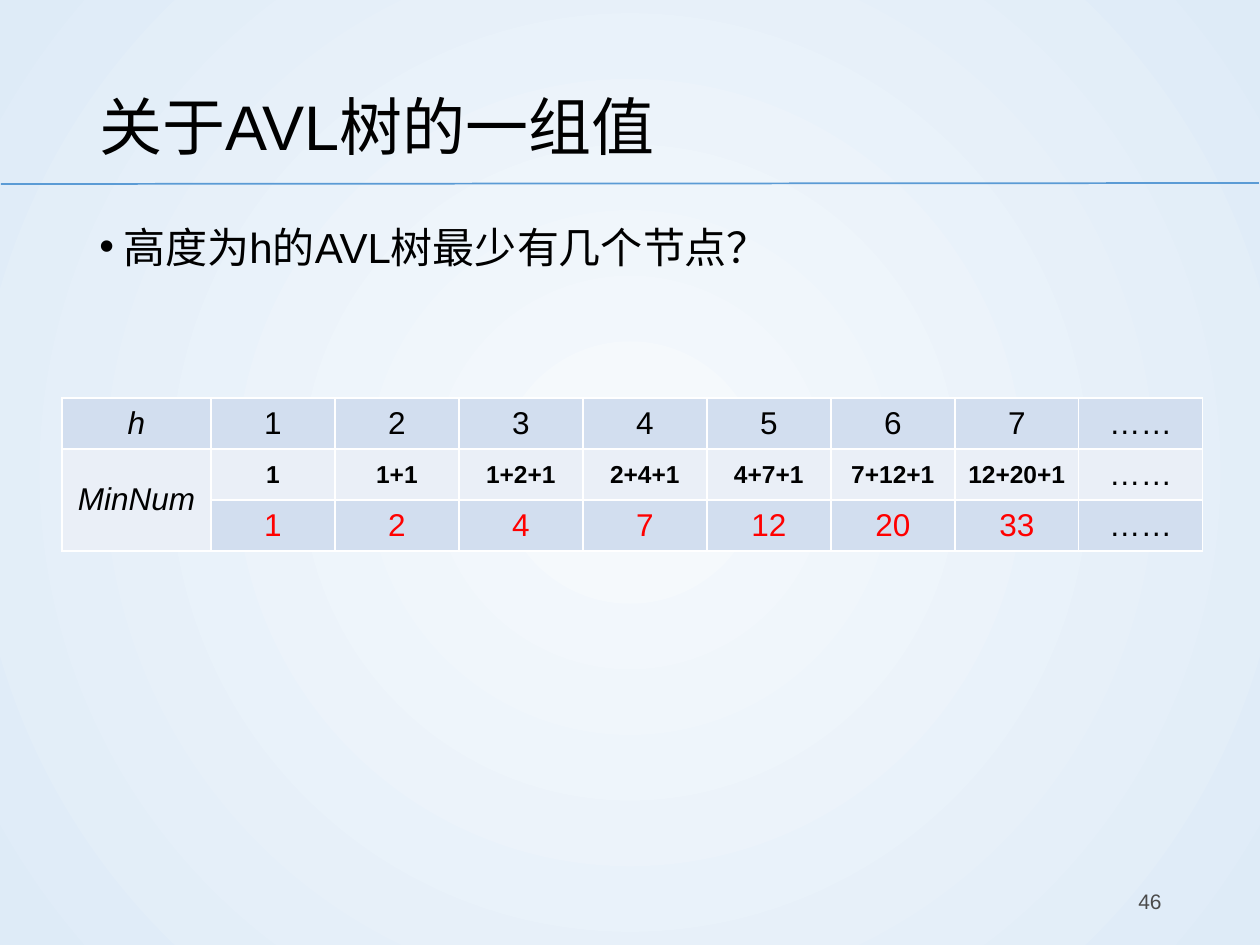
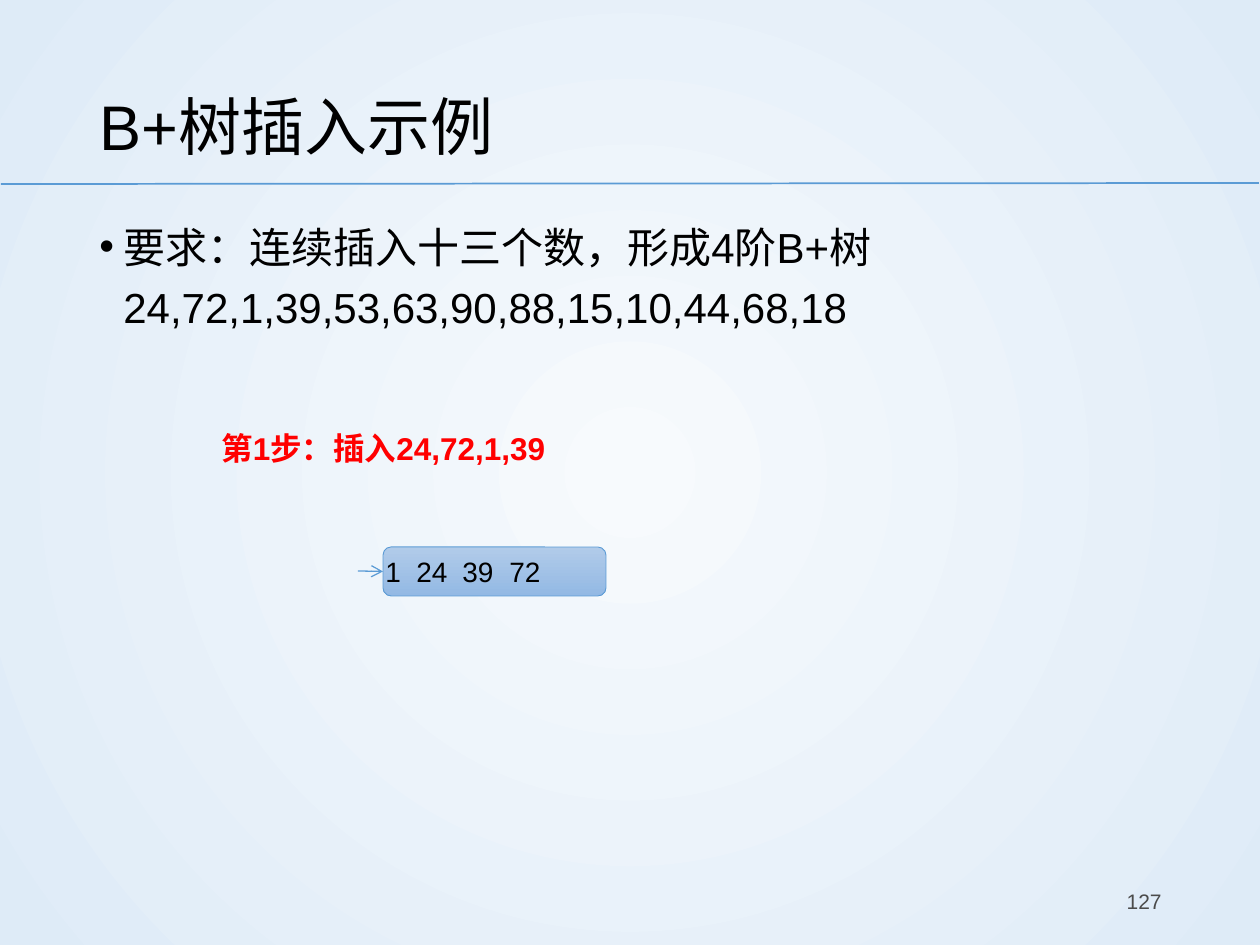
"""Build two lecture slides on AVL trees and B+ trees."""
from lxml.etree import SubElement
from pptx import Presentation
from pptx.dml.color import RGBColor
from pptx.enum.shapes import MSO_CONNECTOR, MSO_SHAPE
from pptx.enum.text import MSO_ANCHOR as ANCHOR, PP_ALIGN as ALIGN
from pptx.oxml import parse_xml
from pptx.oxml.ns import nsdecls, qn
from pptx.util import Emu, Pt

SCALE = 914400 / 126
FONT = "Arial"
COLORS = {
    "text": "000000", "number": "4B4B4B", "red": "FF0000", "line": "5B9BD5",
    "center": "F7FAFD", "edge": "DEEBF7", "node_top": "B1CBE9",
    "node_bottom": "93B9E4", "band": "D2DEEF", "light": "EAEFF7",
    "border": "FFFFFF",
}

SLIDE_SIZE = (1260, 945)
TITLE_BOX = (87, 50, 1086, 136)
BODY_BOX = (87, 205, 1086, 646)
NUMBER_BOX = (890, 876, 284, 50)
RULE = (1, 184, 1259, 183)
BULLET_INDENT = 24

AVL = {"title": "关于AVL树的一组值", "body": "高度为h的AVL树最少有几个节点？", "number": "46"}
BPLUS = {
    "title": "B+树插入示例",
    "body": "要求：连续插入十三个数，形成4阶B+树24,72,1,39,53,63,90,88,15,10,44,68,18",
    "number": "127",
}

MIN_NODES = [
    ["h", "1", "2", "3", "4", "5", "6", "7", "……"],
    ["MinNum", "1", "1+1", "1+2+1", "2+4+1", "4+7+1", "7+12+1", "12+20+1", "……"],
    ["", "1", "2", "4", "7", "12", "20", "33", "……"],
]
VALUE_STYLES = [{}, {"size": 14, "bold": True}, {"color": "red"}]
ROW_FILLS = ["band", "light", "band"]
TABLE_ORIGIN = (62, 398)
HEAD_WIDTH, VALUE_WIDTH, ROW_HEIGHT = 149, 124, 51

STEP = "第1步：插入24,72,1,39"
STEP_BOX = (209, 423, 470, 50)
KEYS = ["1", "24", "39", "72"]
KEY_TABS = [31, 77, 124]
NODE_BOX = (383, 547, 223, 49)
ARROW_START = (358, 571)


def px(length):
    return Emu(round(length * SCALE))


def place(values):
    return [px(value) for value in values]


def rgb(name):
    return RGBColor.from_string(COLORS[name])


def write(para, text, size=18, color="text", bold=False, italic=False):
    span = para.add_run()
    span.text = text
    font = span.font
    font.name, font.size = FONT, Pt(size)
    font.bold, font.italic = bold, italic
    font.color.rgb = rgb(color)


def add_text(page, area, text, anchor=ANCHOR.TOP, align=ALIGN.LEFT, spacing=None, **style):
    frame = page.shapes.add_textbox(*place(area)).text_frame
    frame.word_wrap = True
    frame.vertical_anchor = anchor
    para = frame.paragraphs[0]
    para.alignment = align
    if spacing:
        para.line_spacing = spacing
    write(para, text, **style)
    return para


def add_bullet(para):
    props = para._p.get_or_add_pPr()
    props.set("marL", str(px(BULLET_INDENT)))
    props.set("indent", str(-px(BULLET_INDENT)))
    SubElement(props, qn("a:buFont"), typeface=FONT)
    SubElement(props, qn("a:buChar"), char="•")


def set_gradient(fill, colors):
    fill.gradient()
    for stop, name in zip(fill.gradient_stops, colors):
        stop.color.rgb = rgb(name)


def add_line(page, ends, width):
    line = page.shapes.add_connector(MSO_CONNECTOR.STRAIGHT, *place(ends))
    line.line.color.rgb = rgb("line")
    line.line.width = Pt(width)
    SubElement(line._element.spPr, qn("a:effectLst"))
    return line


def add_page(deck, content):
    page = deck.slides.add_slide(deck.slide_layouts[6])
    set_gradient(page.background.fill, ("center", "edge"))
    linear = next(page.element.iter(qn("a:lin")))
    linear.getparent().replace(linear, parse_xml(
        f'<a:path {nsdecls("a")} path="circle">'
        '<a:fillToRect l="50000" t="50000" r="50000" b="50000"/></a:path>'))
    add_line(page, RULE, 1)
    add_text(page, TITLE_BOX, content["title"], ANCHOR.MIDDLE, spacing=1.2, size=36)
    add_bullet(add_text(page, BODY_BOX, content["body"], spacing=1.2, size=24))
    add_text(page, NUMBER_BOX, content["number"], ANCHOR.MIDDLE, ALIGN.RIGHT,
             size=12, color="number")
    return page


def style_cell(cell, fill):
    cell.vertical_anchor = ANCHOR.MIDDLE
    props = cell._tc.get_or_add_tcPr()
    for side in ("lnL", "lnR", "lnT", "lnB"):
        border = SubElement(props, qn(f"a:{side}"), w=str(Pt(1)))
        solid = SubElement(border, qn("a:solidFill"))
        SubElement(solid, qn("a:srgbClr"), val=COLORS["border"])
    cell.fill.solid()
    cell.fill.fore_color.rgb = rgb(fill)


def add_min_table(page):
    rows, columns = len(MIN_NODES), len(MIN_NODES[0])
    widths = [HEAD_WIDTH] + [VALUE_WIDTH] * (columns - 1)
    area = (*TABLE_ORIGIN, sum(widths), rows * ROW_HEIGHT)
    table = page.shapes.add_table(rows, columns, *place(area)).table
    table.first_row = table.horz_banding = False
    for column, width in zip(table.columns, widths):
        column.width = px(width)
    for r, values in enumerate(MIN_NODES):
        table.rows[r].height = px(ROW_HEIGHT)
        for c, value in enumerate(values):
            cell = table.cell(r, c)
            style_cell(cell, "light" if r and not c else ROW_FILLS[r])
            if not value:
                continue
            para = cell.text_frame.paragraphs[0]
            para.alignment = ALIGN.CENTER
            if c == 0:
                style = {"italic": True}
            else:
                style = {} if value == "……" else VALUE_STYLES[r]
            write(para, value, **style)
    table.cell(1, 0).merge(table.cell(2, 0))


def add_node(page):
    node = page.shapes.add_shape(MSO_SHAPE.ROUNDED_RECTANGLE, *place(NODE_BOX))
    node.shadow.inherit = False
    set_gradient(node.fill, ("node_top", "node_bottom"))
    node.fill.gradient_angle = 270
    node.line.color.rgb = rgb("line")
    node.line.width = Pt(0.5)
    frame = node.text_frame
    frame.margin_left = frame.margin_top = frame.margin_bottom = 0
    frame.margin_right = px(25)
    frame.vertical_anchor = ANCHOR.MIDDLE
    para = frame.paragraphs[0]
    para.alignment = ALIGN.LEFT
    tabs = SubElement(para._p.get_or_add_pPr(), qn("a:tabLst"))
    for position in KEY_TABS:
        SubElement(tabs, qn("a:tab"), pos=str(px(position)), algn="l")
    write(para, "\t".join(KEYS), size=16)
    return node


def add_arrow(page, node):
    arrow = add_line(page, (*ARROW_START, *ARROW_START), 0.75)
    arrow.end_connect(node, 1)
    SubElement(arrow.line._get_or_add_ln(), qn("a:tailEnd"), type="arrow")


def main():
    deck = Presentation()
    deck.slide_width, deck.slide_height = place(SLIDE_SIZE)
    add_min_table(add_page(deck, AVL))
    page = add_page(deck, BPLUS)
    add_arrow(page, add_node(page))
    add_text(page, STEP_BOX, STEP, color="red", bold=True)
    deck.save("out.pptx")


if __name__ == "__main__":
    main()
